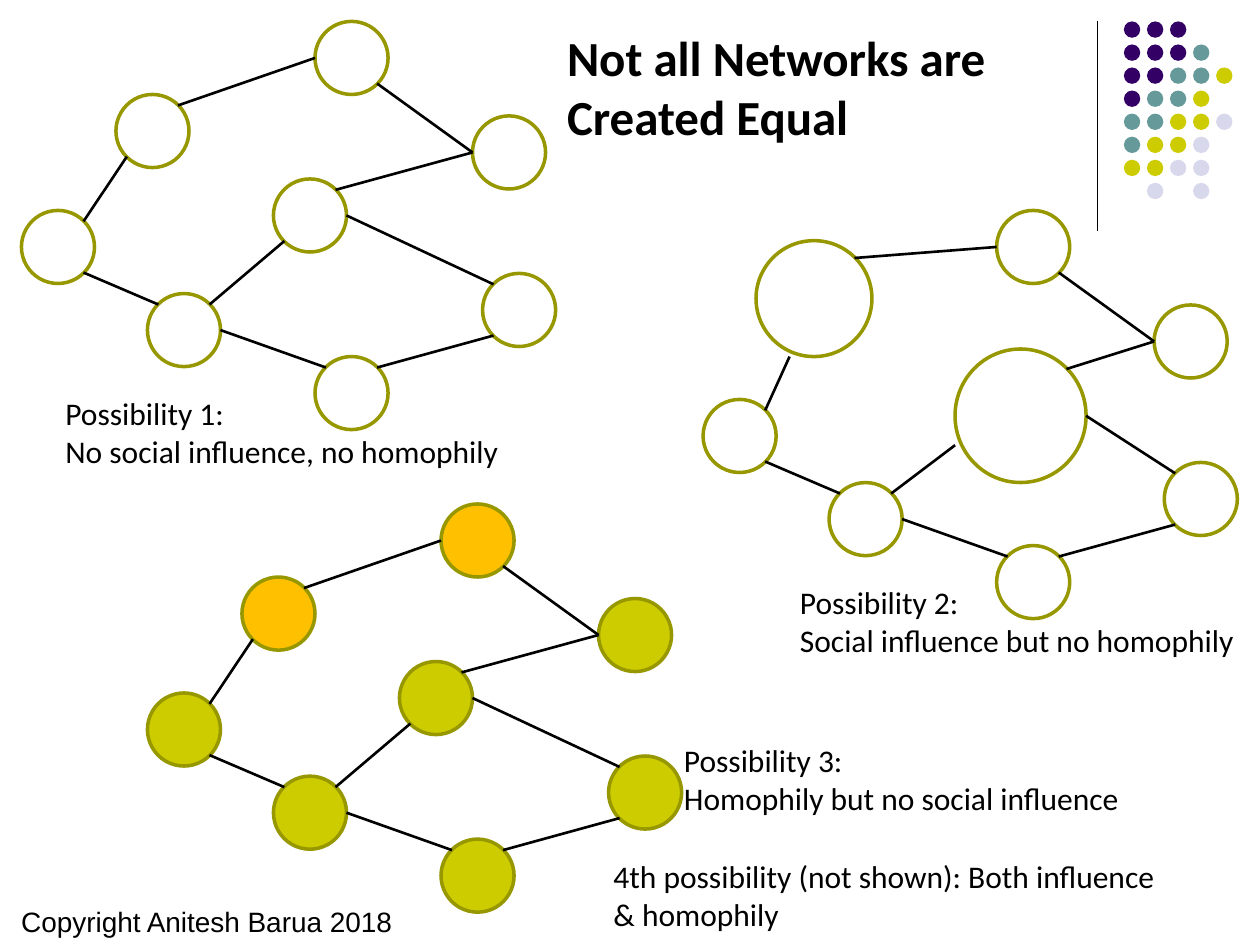
from lxml import etree
from pptx import Presentation
from pptx.dml.color import RGBColor
from pptx.enum.shapes import MSO_CONNECTOR, MSO_SHAPE
from pptx.enum.text import MSO_ANCHOR, MSO_AUTO_SIZE, PP_ALIGN
from pptx.oxml.ns import qn
from pptx.util import Emu, Pt

STRAIGHT = MSO_CONNECTOR.STRAIGHT
OVAL = MSO_SHAPE.OVAL
TOP = MSO_ANCHOR.TOP
LEFT = PP_ALIGN.LEFT
FIT_SHAPE = MSO_AUTO_SIZE.SHAPE_TO_FIT_TEXT

EMU_PER_PX = 9144  # 100 px to the inch
COLORS = {
    "black": "000000", "outline": "979700", "orange": "FFC000",
    "purple": "330066", "teal": "669999", "lime": "CCCC00", "lilac": "D8D8EC",
}

# Decorative dots: one letter per dot, one string per row
DOT_ROWS = ["PPP", "PPPT", "PPTTL", "PTTL", "TTLLV", "TLLV", "LLVV", " V V"]
DOT_COLORS = {"P": "purple", "T": "teal", "L": "lime", "V": "lilac"}
DOT_SIZE, DOT_PITCH = 13, 18.3

# Network: node boxes relative to the network's corner
NODE_SIZE = 58
NODES = {
    "upper left": (75, 58, NODE_SIZE, NODE_SIZE),
    "top": (233, 0, NODE_SIZE, NODE_SIZE),
    "lower left": (100, 216, NODE_SIZE, NODE_SIZE),
    "left": (0, 150, NODE_SIZE, NODE_SIZE),
    "centre": (200, 125, NODE_SIZE, NODE_SIZE),
    "right": (358, 75, NODE_SIZE, NODE_SIZE),
    "bottom": (233, 266, NODE_SIZE, NODE_SIZE),
    "lower right": (366, 200, NODE_SIZE, NODE_SIZE),
}
# Points on a circle as fractions of its box
ANCHORS = {
    "W": (0, 0.5), "E": (1, 0.5), "NW": (0.15, 0.15),
    "NE": (0.85, 0.15), "SW": (0.15, 0.85), "SE": (0.85, 0.85),
}
EDGES = [
    ("left", "NE", "upper left", "SW"),
    ("upper left", "NE", "top", "W"),
    ("left", "SE", "lower left", "NW"),
    ("lower left", "E", "bottom", "NW"),
    ("top", "SE", "right", "W"),
    ("lower left", "NE", "centre", "SW"),
    ("centre", "NE", "right", "W"),
    ("bottom", "NE", "lower right", "SW"),
    ("centre", "E", "lower right", "NW"),
]
# Influenced nodes are larger, and two edges meet them elsewhere
INFLUENCED_NODES = {"upper left": (42, 24, 92, 92), "centre": (200, 110, 104, 106)}
INFLUENCED_ANCHORS = {("upper left", "SW"): (0.29, 1), ("centre", "SW"): (0, 0.72)}
# Similar nodes share a fill
HOMOPHILY_FILLS = {name: "lime" for name in NODES} | {"upper left": "orange", "top": "orange"}

LABELS = [
    ((625, 458, 369, 71), "Possibility 2:\nSocial influence but no homophily", "Calibri", 18),
    ((533, 583, 370, 71), "Possibility 3:\nHomophily but no social influence", "Calibri", 18),
    ((477, 675, 461, 71), "4th possibility (not shown): Both influence\n& homophily", "Calibri", 18),
    ((7, 713, 318, 37), "Copyright Anitesh Barua 2018", "Arial", 16),
    ((42, 308, 368, 71), "Possibility 1:\nNo social influence, no homophily", "Calibri", 18),
]


def px(length):
    return Emu(round(length * EMU_PER_PX))


def rgb(name):
    return RGBColor.from_string(COLORS[name])


def add_circle(page, box, fill=None, outline=None):
    circle = page.shapes.add_shape(OVAL, *map(px, box))
    circle.shadow.inherit = False
    if fill:
        circle.fill.solid()
        circle.fill.fore_color.rgb = rgb(fill)
    else:
        circle.fill.background()
    if outline:
        circle.line.color.rgb = rgb(outline)
        circle.line.width = Pt(2)
    else:
        circle.line.fill.background()


def add_line(page, start, end, width):
    line = page.shapes.add_connector(STRAIGHT, *map(px, (*start, *end)))
    line.line.color.rgb = rgb("black")
    line.line.width = Pt(width)
    etree.SubElement(line._element.spPr, qn("a:effectLst"))


def add_ornament(page, left, top):
    """Vertical rule with the dot pattern to its right."""
    add_line(page, (left, top), (left, top + 166), 0.75)
    for row, letters in enumerate(DOT_ROWS):
        for column, letter in enumerate(letters):
            if letter in DOT_COLORS:
                box = (left + 21 + column * DOT_PITCH, top + row * DOT_PITCH, DOT_SIZE, DOT_SIZE)
                add_circle(page, box, DOT_COLORS[letter])


def add_network(page, left, top, fills=None, resized=None, moved_anchors=None):
    """Eight circles and their edges, placed from the given corner."""
    nodes = NODES | (resized or {})
    for name, (x, y, width, height) in nodes.items():
        add_circle(page, (left + x, top + y, width, height), (fills or {}).get(name), "outline")

    def point(name, anchor):
        x, y, width, height = nodes[name]
        across, down = (moved_anchors or {}).get((name, anchor), ANCHORS[anchor])
        return left + x + across * width, top + y + down * height

    for first, first_anchor, second, second_anchor in EDGES:
        add_line(page, point(first, first_anchor), point(second, second_anchor), 1.5)


def set_text(holder, text, font, size, bold=False):
    frame = holder.text_frame
    frame.text = text
    frame.word_wrap = False
    frame.auto_size = FIT_SHAPE
    frame.vertical_anchor = TOP
    for para in frame.paragraphs:
        para.alignment = LEFT
        for span in para.runs:
            span.font.name = font
            span.font.size = Pt(size)
            span.font.bold = bold
            span.font.color.rgb = rgb("black")


def add_title(page, box):
    title = page.shapes.title
    title.left, title.top, title.width, title.height = map(px, box)
    set_text(title, "Not all Networks are\nCreated Equal", "Calibri", 28, bold=True)


def main():
    deck = Presentation()
    deck.slide_width, deck.slide_height = px(1000), px(750)
    page = deck.slides.add_slide(deck.slide_layouts[5])  # Title Only

    add_ornament(page, 871, 17)
    add_network(page, 17, 17)
    add_network(page, 558, 167, resized=INFLUENCED_NODES, moved_anchors=INFLUENCED_ANCHORS)
    add_network(page, 117, 400, fills=HOMOPHILY_FILLS)
    add_title(page, (440, 17, 366, 104))
    for box, text, font, size in LABELS:
        set_text(page.shapes.add_textbox(*map(px, box)), text, font, size)

    deck.save("out.pptx")


if __name__ == "__main__":
    main()
